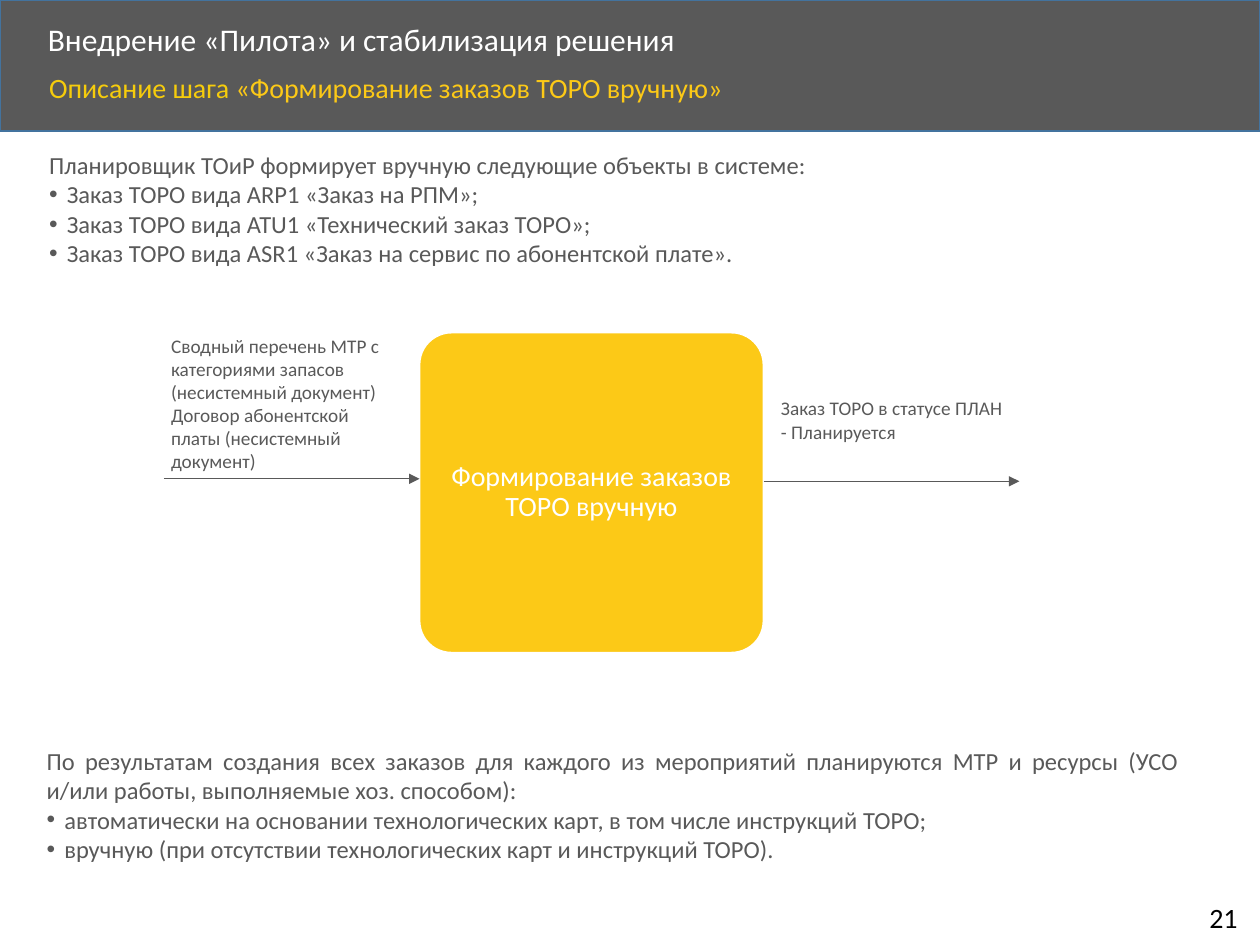
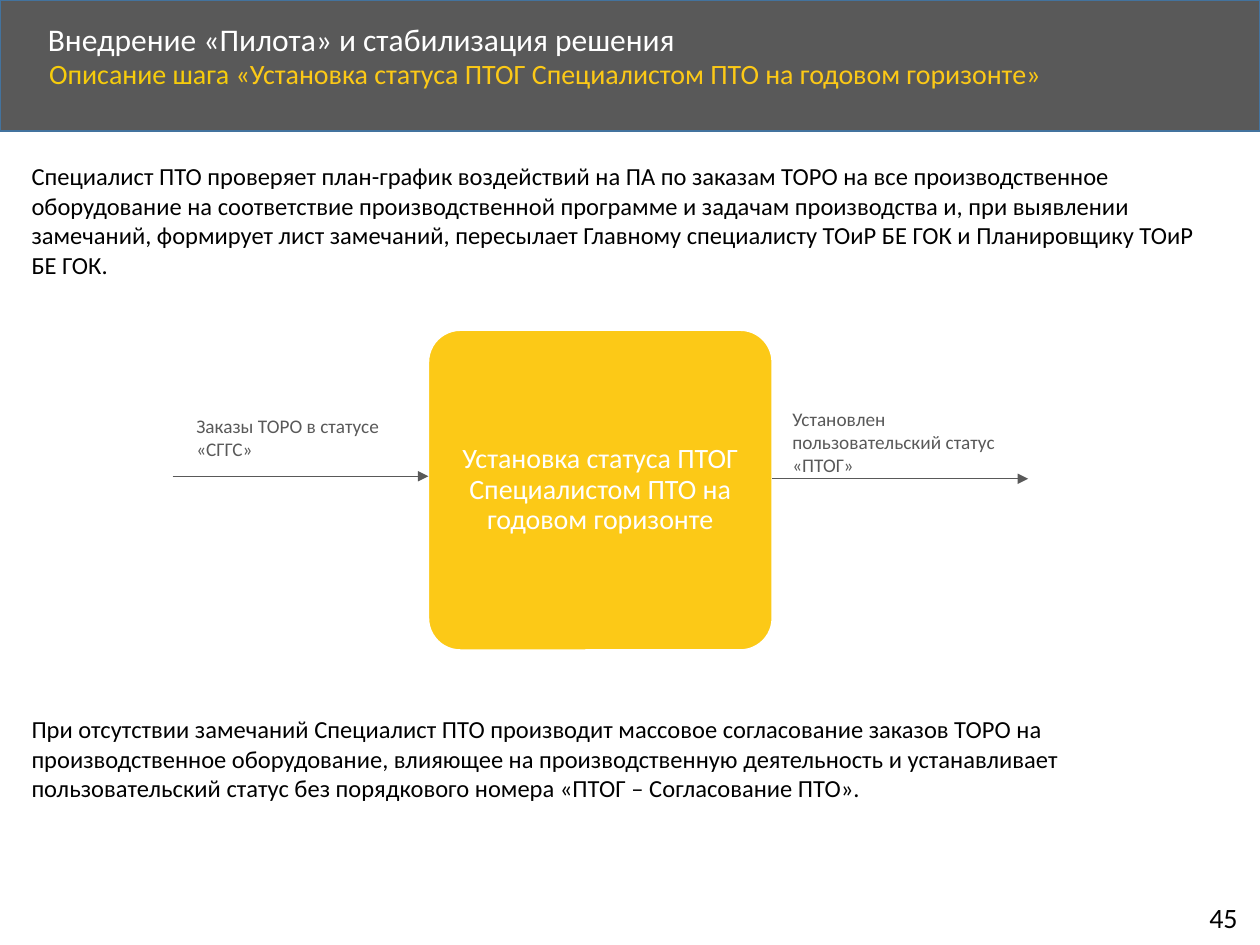
from dataclasses import dataclass

from lxml import etree
from pptx import Presentation
from pptx.dml.color import RGBColor
from pptx.enum import shapes, text
from pptx.oxml import ns
from pptx.util import Inches, Pt


@dataclass(frozen=True)
class Theme:
    font: str = "Calibri"
    grey: str = "595959"
    band_edge: str = "43739E"
    yellow: str = "FCC917"
    lead_yellow: str = "F6CC0C"
    white: str = "FFFFFF"
    black: str = "000000"
    title: int = 18
    heading: int = 16
    body: int = 14
    label: int = 11


THEME = Theme()
BULLET = Inches(0.14)
BOX_W, BOX_H = 2.73, 2.54
ARROW_LENGTH = 2.03
DECK_TITLE = "Внедрение «Пилота» и стабилизация решения"
HEADING_LEAD = "Описание шага "

# Content: each text block is (left, top, width, height), paragraphs, bulleted lines
STEPS = [
    {
        "number": "21",
        "heading": "«Формирование заказов ТОРО вручную»",
        "heading_top": 0.54,
        "step": "Формирование заказов ТОРО вручную",
        "box": (3.33, 2.64),
        "body_color": THEME.grey,
        "intro": ((0.29, 1.14, 9.46, 1.04), [
            "Планировщик ТОиР формирует вручную следующие объекты в системе:",
        ], [
            "Заказ ТОРО вида ARP1 «Заказ на РПМ»;",
            "Заказ ТОРО вида ATU1 «Технический заказ ТОРО»;",
            "Заказ ТОРО вида ASR1 «Заказ на сервис по абонентской плате».",
        ]),
        "outcome": ((0.27, 5.87, 9.19, 1.04), [
            "По результатам создания всех заказов для каждого из мероприятий "
            "планируются МТР и ресурсы (УСО и/или работы, выполняемые хоз. способом):",
        ], [
            "автоматически на основании технологических карт, в том числе инструкций ТОРО;",
            "вручную (при отсутствии технологических карт и инструкций ТОРО).",
        ]),
        "outcome_align": text.PP_ALIGN.JUSTIFY,
        "labels": [
            ((1.26, 2.6, 2, 1.21),
             "Сводный перечень МТР с категориями запасов (несистемный документ)\n"
             "Договор абонентской платы (несистемный документ)"),
            ((6.1, 3.1, 2, 0.47), "Заказ ТОРО в статусе ПЛАН - Планируется"),
        ],
    },
    {
        "number": "45",
        "heading": "«Установка статуса ПТОГ Специалистом ПТО на годовом горизонте»",
        "heading_top": 0.43,
        "step": "Установка статуса ПТОГ Специалистом ПТО на годовом горизонте",
        "box": (3.4, 2.62),
        "body_color": THEME.black,
        "intro": ((0.15, 1.23, 9.46, 1.04), [
            "Специалист ПТО проверяет план-график воздействий на ПА по заказам ТОРО "
            "на все производственное оборудование на соответствие производственной "
            "программе и задачам производства и, при выявлении замечаний, формирует "
            "лист замечаний, пересылает Главному специалисту ТОиР БЕ ГОК и "
            "Планировщику ТОиР БЕ ГОК.",
        ], []),
        "outcome": ((0.15, 5.62, 9.46, 0.81), [
            "При отсутствии замечаний Специалист ПТО производит массовое согласование "
            "заказов ТОРО на производственное оборудование, влияющее на "
            "производственную деятельность и устанавливает пользовательский статус "
            "без порядкового номера «ПТОГ – Согласование ПТО».",
        ], []),
        "outcome_align": text.PP_ALIGN.LEFT,
        "labels": [
            ((1.46, 3.24, 2, 0.47), "Заказы ТОРО в статусе «СГГС»"),
            ((6.19, 3.18, 2, 0.66), "Установлен пользовательский статус «ПТОГ»"),
        ],
    },
]


def place(shape, area):
    shape.left, shape.top, shape.width, shape.height = map(Inches, area)


def style(shape, size, color, align=text.PP_ALIGN.LEFT, spacing=1.0,
          anchor=text.MSO_ANCHOR.TOP, bullets_from=None):
    """Format all text of a shape; paragraphs from bullets_from on get bullets."""
    frame = shape.text_frame
    frame.word_wrap = True
    frame.auto_size = text.MSO_AUTO_SIZE.NONE
    frame.vertical_anchor = anchor
    for i, paragraph in enumerate(frame.paragraphs):
        bulleted = bullets_from is not None and i >= bullets_from
        props = paragraph._p.get_or_add_pPr()
        props.set("marL", str(BULLET if bulleted else 0))
        props.set("indent", str(-BULLET if bulleted else 0))
        if bulleted:
            etree.SubElement(props, ns.qn("a:buChar"), char="•")
        else:
            etree.SubElement(props, ns.qn("a:buNone"))
        paragraph.alignment = align
        paragraph.line_spacing = spacing
        paragraph.space_before = paragraph.space_after = Pt(0)
        for run in paragraph.runs:
            run.font.name = THEME.font
            run.font.size = Pt(size)
            run.font.bold = False
            run.font.color.rgb = RGBColor.from_string(color)


prs = Presentation()
prs.slide_width, prs.slide_height = Inches(10), Inches(7.5)
comparison = prs.slide_layouts[4]

for step in STEPS:
    slide = prs.slides.add_slide(comparison)
    parts = {p.placeholder_format.idx: p for p in slide.placeholders}
    title, heading, intro, spare, outcome = (parts[i] for i in range(5))
    spare._element.getparent().remove(spare._element)

    # Header band, behind the placeholders
    band = slide.shapes.add_shape(shapes.MSO_SHAPE.RECTANGLE, 0, 0,
                                  prs.slide_width, Inches(1.04))
    band.shadow.inherit = False
    band.fill.solid()
    band.fill.fore_color.rgb = RGBColor.from_string(THEME.grey)
    band.line.color.rgb = RGBColor.from_string(THEME.band_edge)
    band.line.width = Pt(1)
    slide.shapes._spTree.insert(2, band._element)

    # Title and step heading
    place(title, (0.28, 0.14, 8.07, 0.38))
    title.text_frame.text = DECK_TITLE
    style(title, THEME.title, THEME.white, spacing=0.9, anchor=text.MSO_ANCHOR.MIDDLE)

    place(heading, (0.29, step["heading_top"], 8.66, 0.45))
    heading.text_frame.text = HEADING_LEAD
    heading.text_frame.paragraphs[0].add_run().text = step["heading"]
    style(heading, THEME.heading, THEME.yellow, spacing=0.9)
    lead = heading.text_frame.paragraphs[0].runs[0]
    lead.font.color.rgb = RGBColor.from_string(THEME.lead_yellow)

    # Text above and below the diagram
    for body, key, align in ((intro, "intro", text.PP_ALIGN.LEFT),
                             (outcome, "outcome", step["outcome_align"])):
        area, lines, bullets = step[key]
        place(body, area)
        body.text_frame.text = "\n".join(lines + bullets)
        style(body, THEME.body, step["body_color"], align, bullets_from=len(lines))

    # Process step
    left, top = step["box"]
    process = slide.shapes.add_shape(shapes.MSO_SHAPE.ROUNDED_RECTANGLE, Inches(left),
                                     Inches(top), Inches(BOX_W), Inches(BOX_H))
    process.adjustments[0] = 0.1
    process.shadow.inherit = False
    process.fill.solid()
    process.fill.fore_color.rgb = RGBColor.from_string(THEME.yellow)
    process.line.color.rgb = RGBColor.from_string(THEME.white)
    process.line.width = Pt(1)
    inner = process.text_frame
    inner.margin_left = inner.margin_right = inner.margin_top = inner.margin_bottom = 0
    inner.text = step["step"]
    style(process, THEME.heading, THEME.white, text.PP_ALIGN.CENTER, 0.9,
          text.MSO_ANCHOR.MIDDLE)

    # Input and output arrows
    for start, drop in ((left - ARROW_LENGTH, 1.16), (left + BOX_W, 1.18)):
        y = Inches(top + drop)
        arrow = slide.shapes.add_connector(shapes.MSO_CONNECTOR.STRAIGHT, Inches(start),
                                           y, Inches(start + ARROW_LENGTH), y)
        arrow.line.color.rgb = RGBColor.from_string(THEME.grey)
        arrow.line.width = Pt(0.5)
        etree.SubElement(arrow.line._get_or_add_ln(), ns.qn("a:tailEnd"), type="triangle")
        etree.SubElement(arrow._element.spPr, ns.qn("a:effectLst"))

    # Arrow labels
    for area, wording in step["labels"]:
        label = slide.shapes.add_textbox(*map(Inches, area))
        label.text_frame.text = wording
        style(label, THEME.label, THEME.grey)

    # Page number
    page = slide.shapes.add_textbox(*map(Inches, (9.5, 7.1, 0.46, 0.37)))
    page.text_frame.text = step["number"]
    style(page, THEME.heading, THEME.black)
    page.text_frame.word_wrap = False

prs.save("out.pptx")
